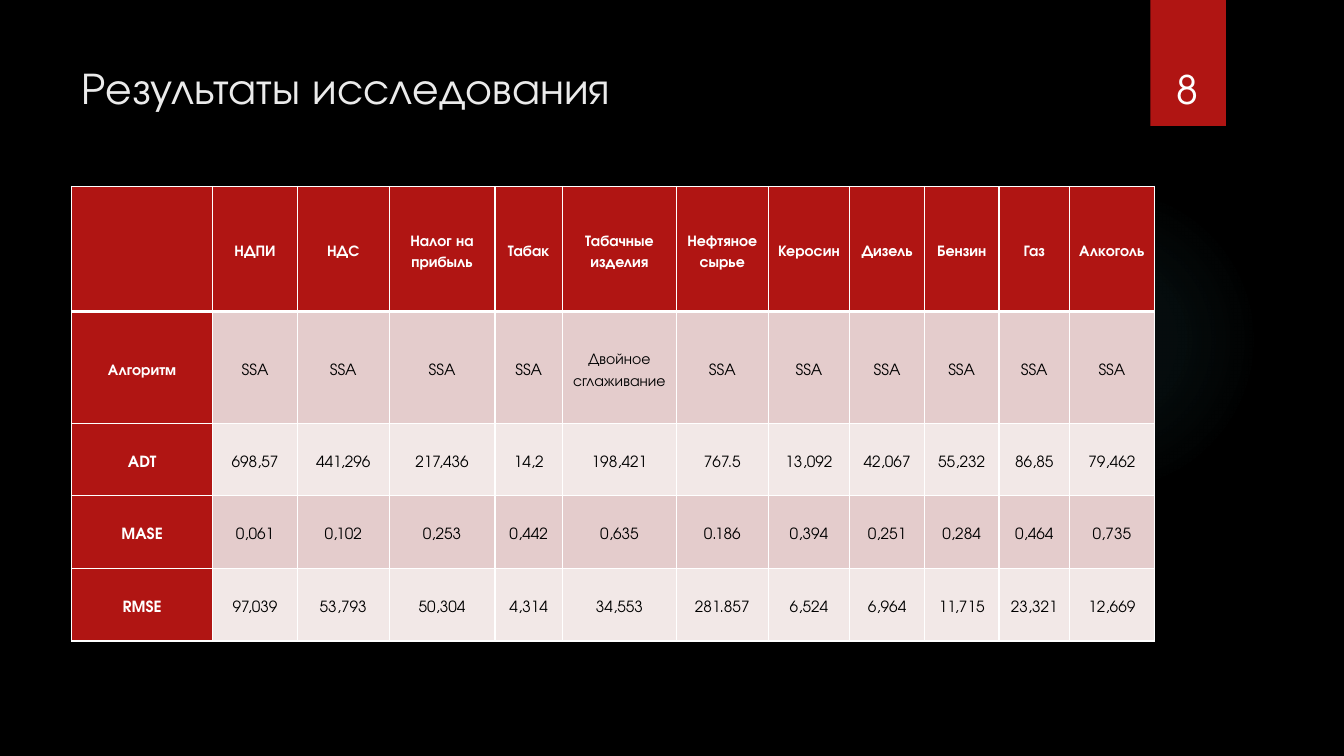
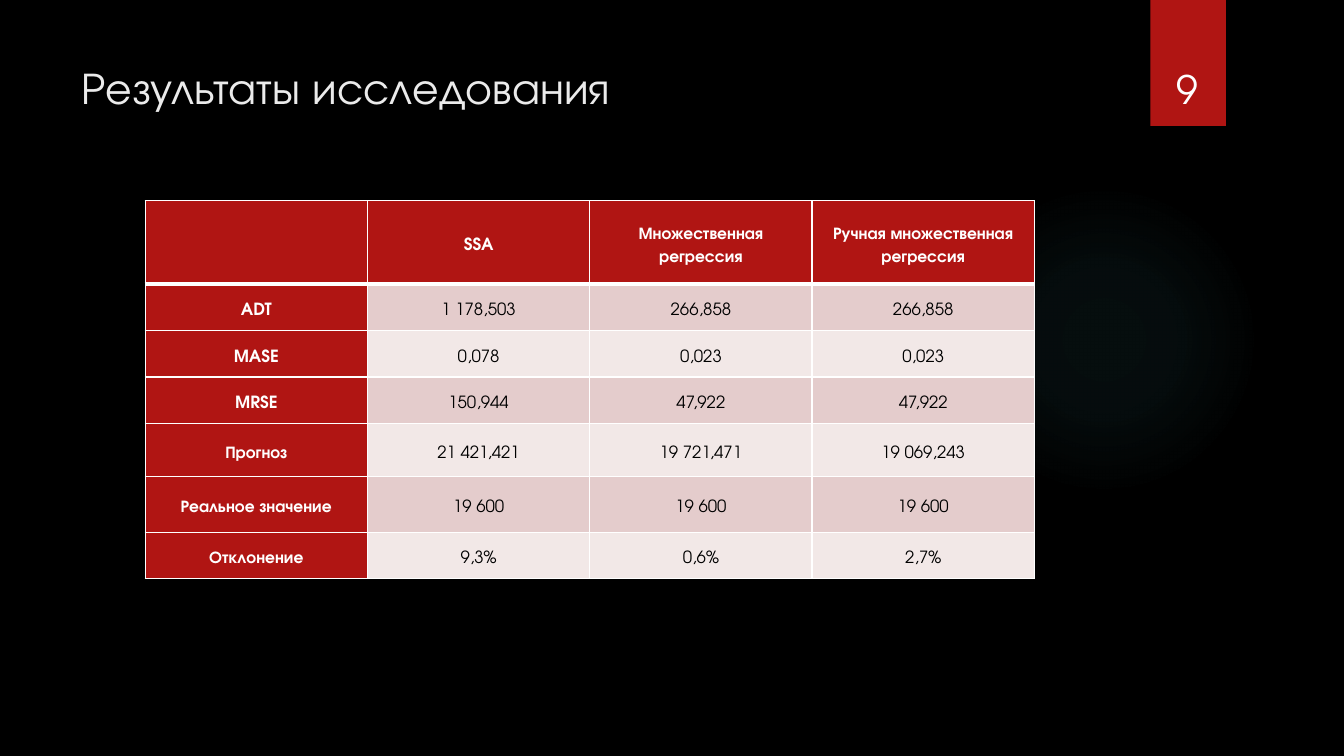
from dataclasses import dataclass

from lxml import etree
from pptx import Presentation
from pptx.dml.color import RGBColor
from pptx.enum.shapes import MSO_SHAPE
from pptx.enum.text import MSO_ANCHOR, MSO_AUTO_SIZE, PP_ALIGN
from pptx.oxml import parse_xml
from pptx.oxml.ns import nsdecls, qn
from pptx.util import Inches, Pt

OVAL, RECT = MSO_SHAPE.OVAL, MSO_SHAPE.RECTANGLE
MIDDLE, BOTTOM = MSO_ANCHOR.MIDDLE, MSO_ANCHOR.BOTTOM
LEFT, CENTER = PP_ALIGN.LEFT, PP_ALIGN.CENTER
NO_FIT = MSO_AUTO_SIZE.NONE


@dataclass(frozen=True)
class Theme:
    font: str = "TeX Gyre Adventor"
    back: str = "000000"
    red: str = "B01513"
    rose: str = "E4CCCC"
    pale: str = "F2E8E7"
    white: str = "FFFFFF"
    ink: str = "000000"
    head: str = "EBEBEB"
    glow: str = "50B9C1"
    title: int = 32
    number: int = 28
    thin: int = 1
    thick: int = 3


class Deck:
    """Holds the theme, the presentation and the current slide."""

    def __init__(self, theme):
        self.theme = theme
        self.prs = Presentation()
        self.prs.slide_width = Inches(13.33)
        self.prs.slide_height = Inches(7.5)
        fill = self.prs.slide_master.background.fill
        fill.solid()
        fill.fore_color.rgb = RGBColor.from_string(theme.back)
        self.slide = None

    def page(self, title, number):
        """Start a slide with the shared decor, title and number."""
        layout = self.prs.slide_layouts[5]
        self.slide = self.prs.slides.add_slide(layout)
        self.glow()
        self.band()
        self.title(title)
        self.number(number)

    def style(self, para, size, color, align, bold=False):
        para.alignment = align
        for run in para.runs:
            font = run.font
            font.name = self.theme.font
            font.size = Pt(size)
            font.bold = bold
            font.color.rgb = RGBColor.from_string(color)

    def shape(self, kind, left, top, width, height):
        shape = self.slide.shapes.add_shape(
            kind, Inches(left), Inches(top), Inches(width), Inches(height))
        shape.shadow.inherit = False
        shape.line.fill.background()
        return shape

    def glow(self):
        """Soft round light that fades to nothing."""
        oval = self.shape(OVAL, 9.41, 1.83, 3.08, 3.08)
        stops = "".join(
            f'<a:gs pos="{pos * 1000}"><a:srgbClr val="{self.theme.glow}">'
            f'<a:alpha val="{alpha * 1000}"/></a:srgbClr></a:gs>'
            for pos, alpha in ((0, 7), (36, 6), (69, 0)))
        grad = parse_xml(
            f'<a:gradFill {nsdecls("a")}><a:gsLst>{stops}</a:gsLst>'
            '<a:path path="circle"><a:fillToRect l="50000" t="50000" '
            'r="50000" b="50000"/></a:path></a:gradFill>')
        oval._element.spPr.find(qn("a:prstGeom")).addnext(grad)

    def band(self):
        band = self.shape(RECT, 11.41, 0, 0.75, 1.25)
        band.fill.solid()
        band.fill.fore_color.rgb = RGBColor.from_string(self.theme.red)

    def title(self, text):
        box = self.slide.shapes.title
        box.left, box.top = Inches(0.71), Inches(0.5)
        box.width, box.height = Inches(10.29), Inches(0.72)
        frame = box.text_frame
        frame.text = text
        frame.auto_size = NO_FIT
        frame.vertical_anchor = MIDDLE
        self.style(frame.paragraphs[0], self.theme.title, self.theme.head, LEFT)

    def number(self, number):
        box = self.slide.shapes.add_textbox(
            Inches(11.32), Inches(0.32), Inches(0.92), Inches(0.84))
        frame = box.text_frame
        frame.text = str(number)
        frame.word_wrap = True
        frame.vertical_anchor = BOTTOM
        self.style(frame.paragraphs[0], self.theme.number, self.theme.white, CENTER)

    def table(self, left, top, cols, rows, data, size):
        """Table with a red first row and column and banded values."""
        frame = self.slide.shapes.add_table(
            len(rows), len(cols), Inches(left), Inches(top),
            Inches(sum(cols)), Inches(sum(rows)))
        table = frame.table
        for col, width in zip(table.columns, cols):
            col.width = Inches(width)
        for row, height in zip(table.rows, rows):
            row.height = Inches(height)
        for r, line in enumerate(data):
            for c, text in enumerate(line):
                self.cell(table.cell(r, c), text, r, c, size)

    def cell(self, cell, text, r, c, size):
        theme = self.theme
        label = r == 0 or c == 0
        color = theme.red if label else theme.rose if r % 2 else theme.pale
        cell.fill.solid()
        cell.fill.fore_color.rgb = RGBColor.from_string(color)
        cell.vertical_anchor = MIDDLE
        cell.margin_left = cell.margin_right = Inches(0.07)
        cell.margin_top = cell.margin_bottom = 0
        self.edges(cell, r)
        if text:
            cell.text_frame.text = text
            para = cell.text_frame.paragraphs[0]
            para.line_spacing = 1.5
            self.style(para, size, theme.white if label else theme.ink,
                       CENTER, label)

    def edges(self, cell, r):
        """White borders, with a thick rule under the header row."""
        theme = self.theme
        heavy = {0: "lnB", 1: "lnT"}.get(r)
        props = cell._tc.get_or_add_tcPr()
        for i, side in enumerate(("lnL", "lnR", "lnT", "lnB")):
            width = theme.thick if side == heavy else theme.thin
            edge = etree.Element(qn(f"a:{side}"), w=str(Pt(width)))
            fill = etree.SubElement(edge, qn("a:solidFill"))
            etree.SubElement(fill, qn("a:srgbClr"), val=theme.white)
            props.insert(i, edge)


TITLE = "Результаты исследования"

TAXES = [
    ["", "НДПИ", "НДС", "Налог на прибыль", "Табак", "Табачные изделия",
     "Нефтяное сырье", "Керосин", "Дизель", "Бензин", "Газ", "Алкоголь"],
    ["Алгоритм"] + ["SSA"] * 4 + ["Двойное сглаживание"] + ["SSA"] * 6,
    ["ADT", "698,57", "441,296", "217,436", "14,2", "198,421",
     "767.5", "13,092", "42,067", "55,232", "86,85", "79,462"],
    ["MASE", "0,061", "0,102", "0,253", "0,442", "0,635",
     "0.186", "0,394", "0,251", "0,284", "0,464", "0,735"],
    ["RMSE", "97,039", "53,793", "50,304", "4,314", "34,553",
     "281.857", "6,524", "6,964", "11,715", "23,321", "12,669"],
]

MODELS = [
    ["", "SSA", "Множественная регрессия", "Ручная множественная регрессия"],
    ["ADT", "1 178,503", "266,858", "266,858"],
    ["MASE", "0,078", "0,023", "0,023"],
    ["MRSE", "150,944", "47,922", "47,922"],
    ["Прогноз", "21 421,421", "19 721,471", "19 069,243"],
    ["Реальное значение"] + ["19 600"] * 3,
    ["Отклонение", "9,3%", "0,6%", "2,7%"],
]


def main():
    deck = Deck(Theme())

    # Results by tax and product
    deck.page(TITLE, 8)
    deck.table(
        0.71, 1.85,
        [1.4, 0.84, 0.91, 1.05, 0.67, 1.13, 0.91, 0.81, 0.74, 0.74, 0.7, 0.84],
        [1.24, 1.11] + [0.72] * 3, TAXES, 11)

    # Results by model
    deck.page(TITLE, 9)
    deck.table(1.44, 1.99, [8.82 / 4] * 4,
               [0.83] + [0.46] * 3 + [0.53, 0.55, 0.46], MODELS, 12)

    deck.prs.save("out.pptx")


if __name__ == "__main__":
    main()
